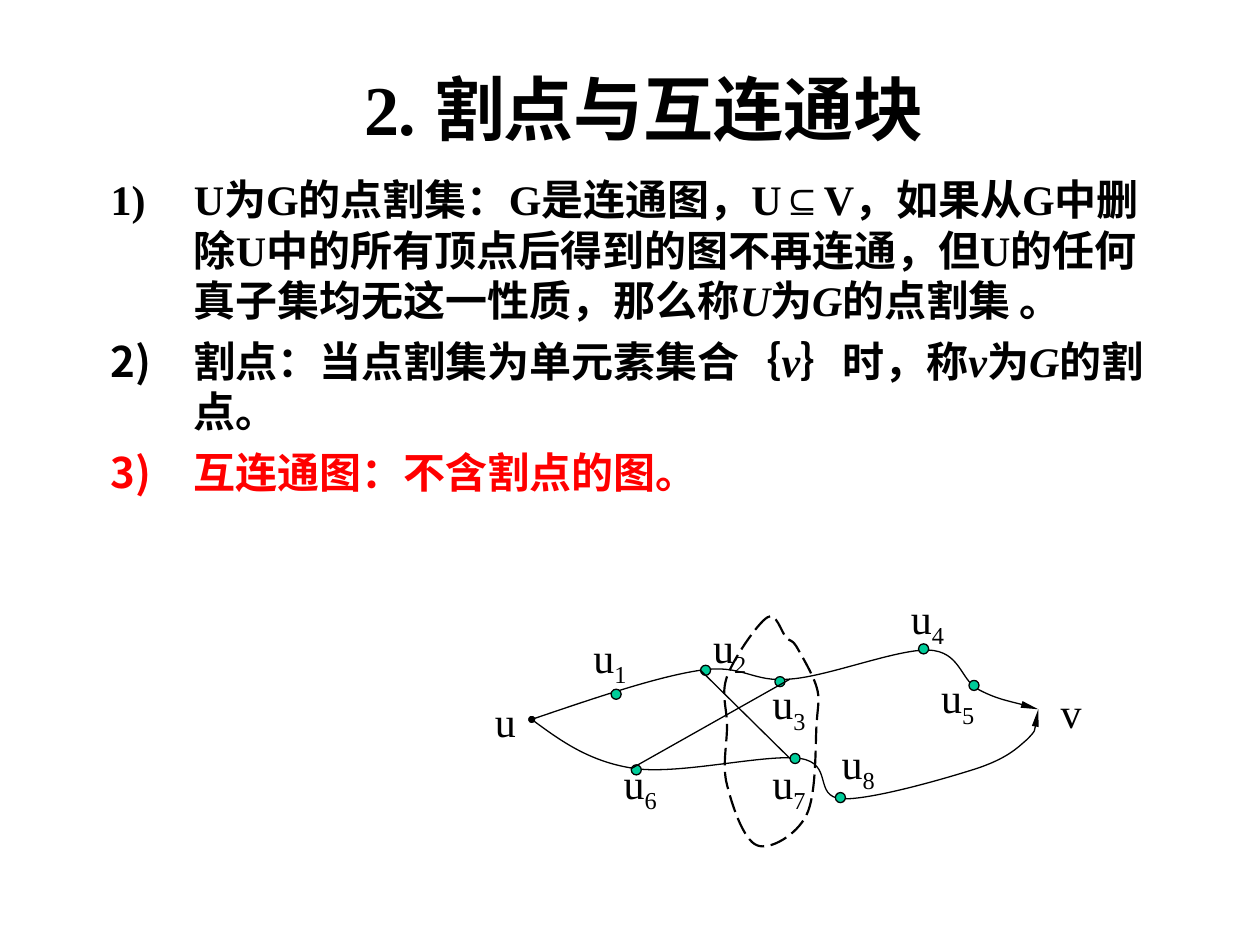
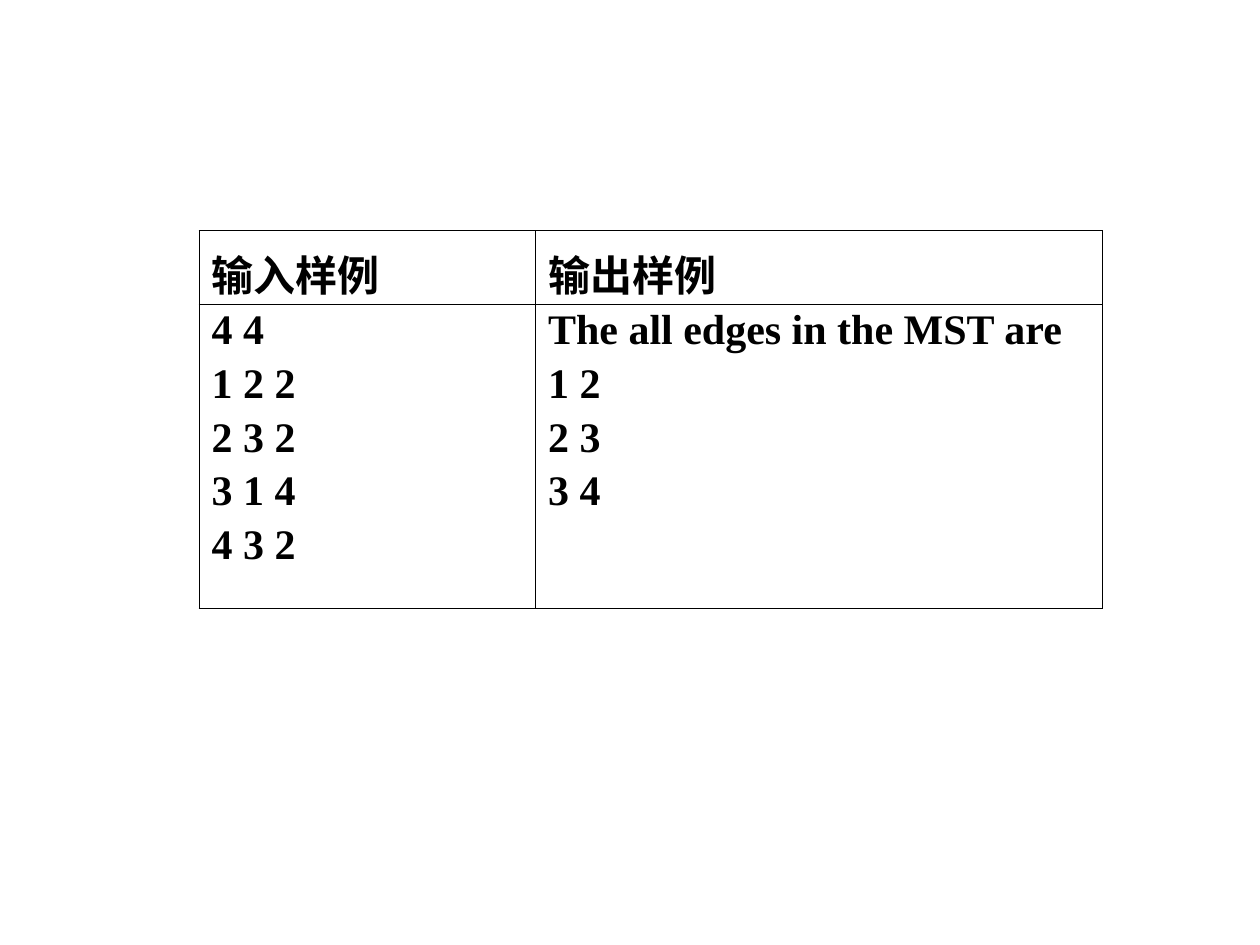
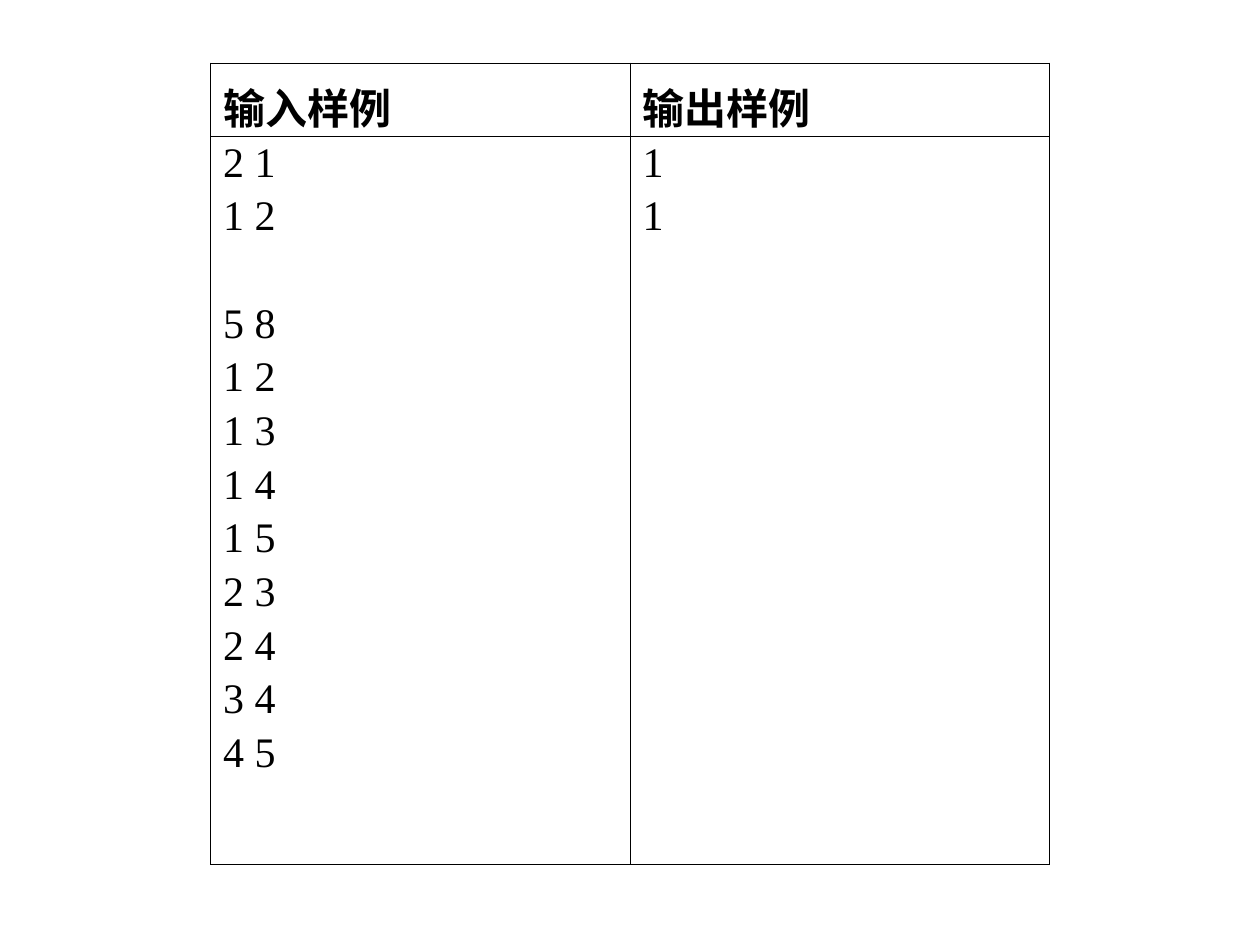
from lxml import etree
from pptx import Presentation
from pptx.dml.color import RGBColor
from pptx.enum.dml import MSO_LINE_DASH_STYLE as Dash
from pptx.enum.shapes import MSO_CONNECTOR, MSO_SHAPE
from pptx.enum.text import MSO_ANCHOR, PP_ALIGN
from pptx.oxml.ns import qn
from pptx.util import Inches, Pt

COLORS = {"ink": "000000", "alert": "FF0000", "vertex": "00CC99"}
SERIF, SANS = "Times New Roman", "Noto Sans CJK SC"
BODY_SIZE = 24
PARAGRAPH_GAP = 6

TITLE = "2. 割点与互连通块"
# Each definition: colour, then runs of (text, font, italic)
DEFINITIONS = [
    ("ink", [
        ("U为G的点割集：G是连通图，U", SERIF, False),
        ("⊆", "Arial", False),
        ("V，如果从G中删除U中的所有顶点后得到的图不再连通，"
         "但U的任何真子集均无这一性质，那么称", SERIF, False),
        ("U", SERIF, True),
        ("为", SERIF, False),
        ("G", SERIF, True),
        ("的点割集 。", SERIF, False),
    ]),
    ("ink", [
        ("割点：", SANS, False),
        ("当点割集为单元素集合｛", SERIF, False),
        ("v", SERIF, True),
        ("｝时，称", SERIF, False),
        ("v", SERIF, True),
        ("为", SERIF, False),
        ("G", SERIF, True),
        ("的割点。", SERIF, False),
    ]),
    ("alert", [("互连通图：不含割点的图。", SANS, False)]),
]

# Start point, then two control points and an end point for each segment
UPPER_WALK = [
    (4.22, 5.71),
    (4.72, 5.54), (5.22, 5.37), (5.56, 5.32),
    (5.9, 5.27), (5.97, 5.42), (6.27, 5.39),
    (6.57, 5.37), (7.12, 5.15), (7.37, 5.16),
    (7.62, 5.17), (7.62, 5.39), (7.76, 5.47),
    (7.91, 5.55), (8.16, 5.6), (8.24, 5.63),
]
LOWER_WALK = [
    (4.22, 5.71),
    (4.45, 5.88), (4.69, 6.05), (5.04, 6.1),
    (5.4, 6.15), (6.08, 5.98), (6.35, 6.02),
    (6.62, 6.06), (6.45, 6.32), (6.68, 6.34),
    (6.91, 6.35), (7.5, 6.18), (7.75, 6.1),
    (7.99, 6.02), (8.07, 5.94), (8.15, 5.87),
    (8.23, 5.79), (8.23, 5.71), (8.24, 5.63),
]
CUT_SET = [
    (6.09, 4.9),
    (6.01, 4.95), (5.82, 5.23), (5.77, 5.37),
    (5.72, 5.51), (5.77, 5.62), (5.77, 5.76),
    (5.77, 5.91), (5.73, 6.08), (5.77, 6.23),
    (5.81, 6.39), (5.9, 6.67), (6.01, 6.71),
    (6.11, 6.75), (6.32, 6.63), (6.4, 6.47),
    (6.48, 6.31), (6.47, 5.93), (6.48, 5.76),
    (6.49, 5.59), (6.51, 5.55), (6.48, 5.45),
    (6.45, 5.35), (6.36, 5.2), (6.32, 5.13),
    (6.28, 5.07), (6.28, 5.1), (6.24, 5.06),
    (6.2, 5.02), (6.16, 4.85), (6.09, 4.9),
]
CROSS_EDGES = [((5.01, 6.1), (6.27, 5.39)), ((5.56, 5.32), (6.27, 6.02))]
END_VERTICES = [("u", (3.83, 5.47)), ("v", (8.32, 5.4))]
# Subscript: label corner, dot corner
INNER_VERTICES = {
    "1": ((4.69, 5.0), (4.85, 5.47)),
    "2": ((5.64, 4.92), (5.56, 5.28)),
    "3": ((6.11, 5.37), (6.15, 5.37)),
    "4": ((7.21, 4.69), (7.29, 5.11)),
    "5": ((7.45, 5.32), (7.69, 5.4)),
    "6": ((4.93, 6.0), (5.01, 6.07)),
    "7": ((6.11, 6.0), (6.27, 5.98)),
    "8": ((6.66, 5.84), (6.63, 6.29)),
}
DOT = 0.08

SAMPLE_HEADS = ["输入样例", "输出样例"]
# Each column is a list of data sets, and each data set is a list of lines
SAMPLES = [
    {"corner": (1.58, 1.83), "cols": [2.67, 4.5], "rows": [0.57, 2.42], "bold": True,
     "columns": [[["4 4", "1 2 2", "2 3 2", "3 1 4", "4 3 2"]],
                 [["The all edges in the MST are", "1 2", "2 3", "3 4"]]]},
    {"corner": (1.67, 0.5), "cols": [3.33, 3.33], "rows": [0.55, 5.78], "bold": False,
     "columns": [[["2 1", "1 2"],
                  ["5 8", "1 2", "1 3", "1 4", "1 5", "2 3", "2 4", "3 4", "4 5"]],
                 [["1", "1"]]]},
]
DATA_SET_GAP = 36.7
OUTER_BORDER, INNER_BORDER = 0.5, 0.23


def rgb(color):
    return RGBColor.from_string(COLORS[color])


def add_run(paragraph, text, size=BODY_SIZE, font=SERIF, color="ink", bold=False, italic=False):
    run = paragraph.add_run()
    run.text = text
    run.font.size = Pt(size)
    run.font.name = font
    run.font.bold = bold
    run.font.italic = italic
    run.font.color.rgb = rgb(color)
    east_asian = etree.SubElement(run.font._element, qn("a:ea"))
    east_asian.set("typeface", SANS)
    return run


def next_paragraph(frame, index, gap=PARAGRAPH_GAP):
    """Return the first paragraph as it is, or a new one set off by a gap."""
    if index == 0:
        return frame.paragraphs[0]
    paragraph = frame.add_paragraph()
    paragraph.space_before = Pt(gap)
    return paragraph


def add_text_frame(slide, left, top, width, height, inset=(0.1, 0.05)):
    frame = slide.shapes.add_textbox(*map(Inches, (left, top, width, height))).text_frame
    frame.word_wrap = True
    frame.margin_left = frame.margin_right = Inches(inset[0])
    frame.margin_top = frame.margin_bottom = Inches(inset[1])
    return frame


def add_number(paragraph, color, indent=0.66):
    properties = paragraph._p.get_or_add_pPr()
    properties.set("marL", str(Inches(indent)))
    properties.set("indent", str(-Inches(indent)))
    bullet_color = etree.SubElement(properties, qn("a:buClr"))
    etree.SubElement(bullet_color, qn("a:srgbClr")).set("val", COLORS[color])
    etree.SubElement(properties, qn("a:buAutoNum")).set("type", "arabicParenR")


def style_line(shape, width=0.75):
    shape.line.color.rgb = rgb("ink")
    shape.line.width = Pt(width)


def add_curve(slide, points, width=0.75, closed=False):
    start, *rest = [(Inches(x), Inches(y)) for x, y in points]
    builder = slide.shapes.build_freeform(*start)
    builder.add_line_segments(rest, close=closed)
    curve = builder.convert_to_shape()
    curve.shadow.inherit = False
    curve.fill.background()
    style_line(curve, width)
    # Fold every three straight steps into one cubic segment
    steps = list(curve._element.iter(qn("a:lnTo")))
    for first in range(0, len(steps), 3):
        cubic = etree.Element(qn("a:cubicBezTo"))
        steps[first].addprevious(cubic)
        for step in steps[first:first + 3]:
            cubic.append(step[0])
            step.getparent().remove(step)
    return curve


def add_walk(slide, points):
    line = add_curve(slide, points).line._get_or_add_ln()
    for tag, kind, length in (("a:headEnd", "oval", "sm"), ("a:tailEnd", "triangle", "lg")):
        end = etree.SubElement(line, qn(tag))
        end.set("type", kind)
        end.set("w", "sm")
        end.set("len", length)


def add_graph(slide):
    for walk in (UPPER_WALK, LOWER_WALK):
        add_walk(slide, walk)
    for name, corner in END_VERTICES:
        add_run(add_text_frame(slide, *corner, 0.39, 0.5).paragraphs[0], name)
    for subscript, (label_corner, dot_corner) in INNER_VERTICES.items():
        label = add_text_frame(slide, *label_corner, 0.39, 0.48, (0.02, 0.01)).paragraphs[0]
        add_run(label, "u")
        add_run(label, subscript).font._element.set("baseline", "-25000")
        dot = slide.shapes.add_shape(MSO_SHAPE.OVAL, *map(Inches, (*dot_corner, DOT, DOT)))
        dot.shadow.inherit = False
        dot.fill.solid()
        dot.fill.fore_color.rgb = rgb("vertex")
        style_line(dot)
    for start, end in CROSS_EDGES:
        edge = slide.shapes.add_connector(MSO_CONNECTOR.STRAIGHT, *map(Inches, start + end))
        style_line(edge)
        etree.SubElement(edge._element.spPr, qn("a:effectLst"))
    add_curve(slide, CUT_SET, 1.25, closed=True).line.dash_style = Dash.LONG_DASH


def add_definitions(slide):
    title_frame = add_text_frame(slide, 0.86, 0.23, 8.5, 1.25)
    title_frame.vertical_anchor = MSO_ANCHOR.MIDDLE
    title = title_frame.paragraphs[0]
    title.alignment = PP_ALIGN.CENTER
    add_run(title, TITLE, size=40, bold=True)

    body = add_text_frame(slide, 0.78, 1.33, 8.5, 4.89)
    for index, (color, runs) in enumerate(DEFINITIONS):
        paragraph = next_paragraph(body, index)
        add_number(paragraph, color)
        for text, font, italic in runs:
            add_run(paragraph, text, font=font, color=color, bold=True, italic=italic)


def set_borders(cell, row, col):
    """Draw the table's outside edges heavier than the inside ones (2 by 2 grid)."""
    outer_sides = {"a:lnL": col == 0, "a:lnR": col == 1, "a:lnT": row == 0, "a:lnB": row == 1}
    properties = cell._tc.get_or_add_tcPr()
    for position, (tag, outer) in enumerate(outer_sides.items()):
        line = etree.Element(qn(tag))
        line.set("w", str(Pt(OUTER_BORDER if outer else INNER_BORDER)))
        fill = etree.SubElement(line, qn("a:solidFill"))
        etree.SubElement(fill, qn("a:srgbClr")).set("val", COLORS["ink"])
        properties.insert(position, line)


def add_sample(slide, sample):
    size = (sum(sample["cols"]), sum(sample["rows"]))
    table = slide.shapes.add_table(2, 2, *map(Inches, sample["corner"] + size)).table
    table.first_row = table.horz_banding = False
    for col, width in enumerate(sample["cols"]):
        table.columns[col].width = Inches(width)
    for row, height in enumerate(sample["rows"]):
        table.rows[row].height = Inches(height)
        for col in range(2):
            cell = table.cell(row, col)
            cell.fill.background()
            set_borders(cell, row, col)

    for col, (head, data_sets) in enumerate(zip(SAMPLE_HEADS, sample["columns"])):
        head_cell = table.cell(0, col)
        head_cell.margin_bottom = 0
        heading = head_cell.text_frame.paragraphs[0]
        heading.line_spacing = 1.1
        add_run(heading, head, font=SANS, bold=True)
        frame = table.cell(1, col).text_frame
        for set_index, lines in enumerate(data_sets):
            for line_index, text in enumerate(lines):
                gap = PARAGRAPH_GAP if line_index else DATA_SET_GAP
                paragraph = next_paragraph(frame, set_index + line_index, gap)
                paragraph.line_spacing = 0.93
                add_run(paragraph, text, bold=sample["bold"])


def main():
    deck = Presentation()
    deck.slide_width, deck.slide_height = Inches(10), Inches(7.5)
    blank = deck.slide_layouts[6]
    opening = deck.slides.add_slide(blank)
    add_definitions(opening)
    add_graph(opening)
    for sample in SAMPLES:
        add_sample(deck.slides.add_slide(blank), sample)
    deck.save("out.pptx")


if __name__ == "__main__":
    main()
